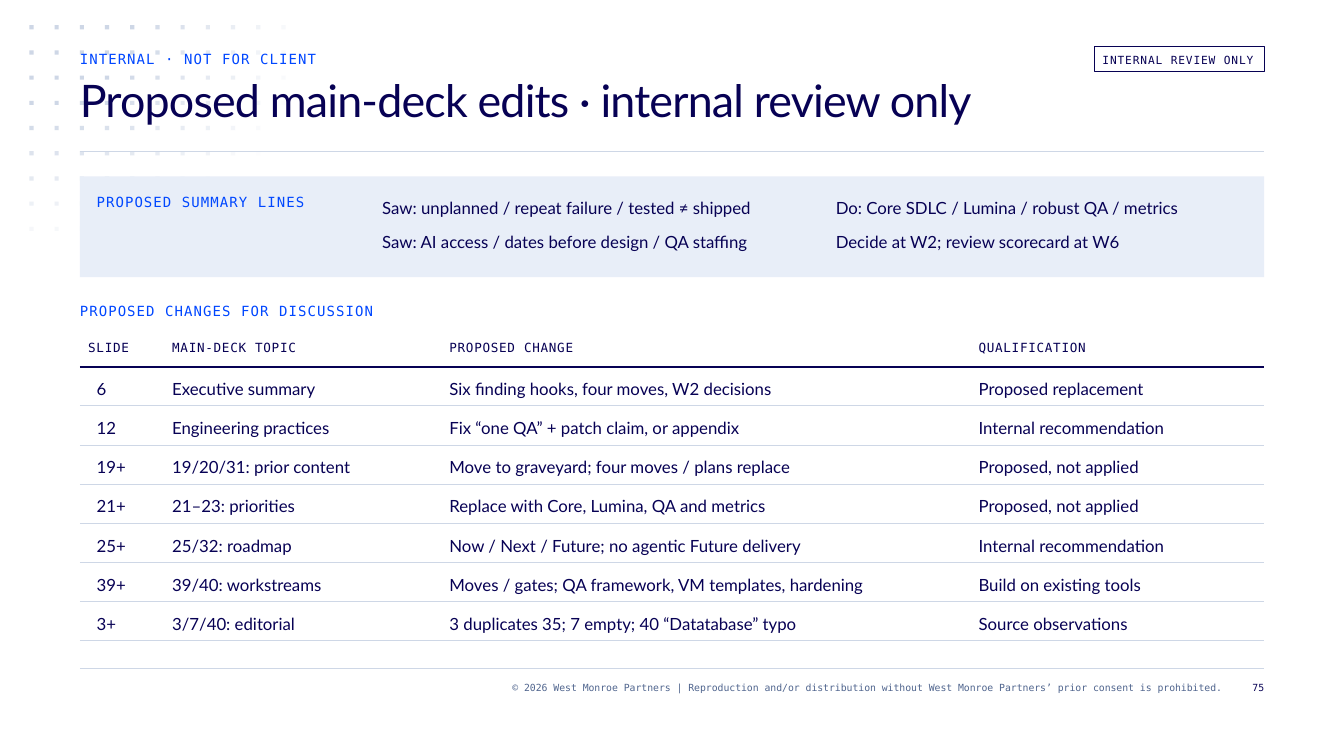
"""Builds the internal review slide of proposed main-deck edits."""
from math import hypot

from lxml import etree
from pptx import Presentation
from pptx.dml.color import RGBColor
from pptx.enum.shapes import MSO_CONNECTOR, MSO_SHAPE
from pptx.enum.text import MSO_ANCHOR, PP_ALIGN
from pptx.oxml.ns import qn
from pptx.util import Cm, Pt

RECTANGLE = MSO_SHAPE.RECTANGLE
STRAIGHT = MSO_CONNECTOR.STRAIGHT
MIDDLE = MSO_ANCHOR.MIDDLE
LEFT, RIGHT = PP_ALIGN.LEFT, PP_ALIGN.RIGHT

NAVY = RGBColor(0x07, 0x01, 0x54)
BLUE = RGBColor(0x00, 0x47, 0xFF)
SLATE = RGBColor(0x50, 0x65, 0x8E)
MIST = RGBColor(0xCE, 0xD7, 0xE6)
PALE = RGBColor(0xE8, 0xEE, 0xF8)
WHITE = RGBColor(0xFF, 0xFF, 0xFF)

# style: font, size, line spacing, letter spacing, colour
MONO, SANS = "DejaVu Sans Mono", "Lato"
TITLE = (SANS, 32, 36, -0.6, NAVY)
BODY = (SANS, 12, 18, 0, NAVY)
LABEL = (MONO, 10, 12, 0.8, BLUE)
HEADING = (MONO, 9, 12, 0.5, NAVY)
BADGE = (MONO, 8, 12, 0.6, NAVY)
COPYRIGHT = (MONO, 7, 9, 0, SLATE)
PAGE_NUMBER = (MONO, 7, 9, 0, NAVY)

MARGIN, CONTENT_WIDTH = 19, 282
RULE_TOPS = (36.1, 159.1)
DOT_START, DOT_PITCH = (7, 6), 6
DOT_ROWS = (11, 11, 11, 11, 11, 11, 11, 3, 3)
FADE_ACROSS, FADE_DOWN, FADE_STRENGTH = 11.07, 9.07, 1.53

TEXTS = [
    ((57, 162, 234, 6), COPYRIGHT, RIGHT,
     ["© 2026 West Monroe Partners | Reproduction and/or distribution without "
      "West Monroe Partners’ prior consent is prohibited."]),
    ((19, 12, 222, 4), LABEL, LEFT, ["INTERNAL · NOT FOR CLIENT"]),
    ((19, 18, 282, 18), TITLE, LEFT, ["Proposed main-deck edits · internal review only"]),
    ((293, 162, 8, 6), PAGE_NUMBER, RIGHT, ["75"]),
    ((23, 46, 58, 4), LABEL, LEFT, ["PROPOSED SUMMARY LINES"]),
    ((91, 46, 100, 14), BODY, LEFT,
     ["Saw: unplanned / repeat failure / tested ≠ shipped",
      "Saw: AI access / dates before design / QA staffing"]),
    ((199, 46, 98, 14), BODY, LEFT,
     ["Do: Core SDLC / Lumina / robust QA / metrics",
      "Decide at W2; review scorecard at W6"]),
    ((19, 72, 138, 4), LABEL, LEFT, ["PROPOSED CHANGES FOR DISCUSSION"]),
    ((262.5, 12, 36.5, 4), BADGE, LEFT, ["INTERNAL REVIEW ONLY"]),
]

COLUMN_WIDTHS = (18, 66, 126, 72)
TABLE_TOP, TABLE_HEIGHT = 78, 74.67
CHANGES = [
    ("SLIDE", "MAIN-DECK TOPIC", "PROPOSED CHANGE", "QUALIFICATION"),
    ("6", "Executive summary", "Six finding hooks, four moves, W2 decisions",
     "Proposed replacement"),
    ("12", "Engineering practices", "Fix “one QA” + patch claim, or appendix",
     "Internal recommendation"),
    ("19+", "19/20/31: prior content", "Move to graveyard; four moves / plans replace",
     "Proposed, not applied"),
    ("21+", "21–23: priorities", "Replace with Core, Lumina, QA and metrics",
     "Proposed, not applied"),
    ("25+", "25/32: roadmap", "Now / Next / Future; no agentic Future delivery",
     "Internal recommendation"),
    ("39+", "39/40: workstreams", "Moves / gates; QA framework, VM templates, hardening",
     "Build on existing tools"),
    ("3+", "3/7/40: editorial", "3 duplicates 35; 7 empty; 40 “Datatabase” typo",
     "Source observations"),
]
PLAIN_TABLE = "{2D5ABB26-0587-4C30-8999-92F81FD0307C}"


def grid(units):
    """Converts grid units, 24 to the inch, to a length."""
    return Cm(units * 2.54 / 24)


def add_rectangle(page, place, fill=None, line=None):
    box = page.shapes.add_shape(RECTANGLE, *map(grid, place))
    box.shadow.inherit = False
    if fill is None:
        box.fill.background()
    else:
        box.fill.solid()
        box.fill.fore_color.rgb = fill
    if line is None:
        box.line.fill.background()
    else:
        box.line.color.rgb = line
        box.line.width = Pt(0.75)
    return box


def write(frame, lines, style, align=LEFT):
    font, size, leading, tracking, colour = style
    frame.word_wrap = True
    frame.text = "\n".join(lines)
    for index, para in enumerate(frame.paragraphs):
        para.alignment = align
        para.line_spacing = Pt(leading)
        if index:
            para.space_before = Pt(6)
        para.font.name = font
        para.font.size = Pt(size)
        para.font.color.rgb = colour
        para._p.pPr.find(qn("a:defRPr")).set("spc", str(round(tracking * 100)))


def add_text(page, place, style, align, lines):
    frame = page.shapes.add_textbox(*map(grid, place)).text_frame
    frame.margin_left = frame.margin_right = frame.margin_top = frame.margin_bottom = 0
    write(frame, lines, style, align)


def add_dots(page):
    for row, count in enumerate(DOT_ROWS):
        for column in range(count):
            distance = hypot(column / FADE_ACROSS, row / FADE_DOWN)
            opacity = min(1, FADE_STRENGTH * (1 - distance))
            if opacity <= 0:
                continue
            left, top = DOT_START[0] + column * DOT_PITCH, DOT_START[1] + row * DOT_PITCH
            dot = add_rectangle(page, (left, top, 1, 1), MIST)
            colour = dot._element.spPr.find(".//" + qn("a:srgbClr"))
            etree.SubElement(colour, qn("a:alpha"), val=str(round(opacity * 100) * 1000))


def add_rule(page, top):
    rule = page.shapes.add_connector(
        STRAIGHT, grid(MARGIN), grid(top), grid(MARGIN + CONTENT_WIDTH), grid(top))
    rule.line.color.rgb = MIST
    rule.line.width = Pt(0.75)
    etree.SubElement(rule._element.spPr, qn("a:effectLst"))


def underline_cell(cell, colour, width):
    border = etree.Element(qn("a:lnB"), w=str(Pt(width)))
    fill = etree.SubElement(border, qn("a:solidFill"))
    etree.SubElement(fill, qn("a:srgbClr"), val=str(colour))
    cell._tc.get_or_add_tcPr().insert(0, border)


def add_changes(page):
    place = (MARGIN, TABLE_TOP, CONTENT_WIDTH, TABLE_HEIGHT)
    table = page.shapes.add_table(
        len(CHANGES), len(COLUMN_WIDTHS), *map(grid, place)).table
    table.first_row = table.horz_banding = False
    table._tbl.tblPr.find(qn("a:tableStyleId")).text = PLAIN_TABLE
    for column, width in zip(table.columns, COLUMN_WIDTHS):
        column.width = grid(width)
    for row, texts in enumerate(CHANGES):
        table.rows[row].height = grid(TABLE_HEIGHT / len(CHANGES))
        for column, text in enumerate(texts):
            cell = table.cell(row, column)
            cell.margin_left = cell.margin_right = grid(2 if row == column == 0 else 4)
            cell.margin_top = cell.margin_bottom = 0
            cell.vertical_anchor = MIDDLE
            cell.fill.solid()
            cell.fill.fore_color.rgb = WHITE
            write(cell.text_frame, [text], BODY if row else HEADING)
            underline_cell(cell, *((MIST, 0.75) if row else (NAVY, 1.5)))


def main():
    deck = Presentation()
    deck.slide_width, deck.slide_height = grid(320), grid(180)
    page = deck.slides.add_slide(deck.slide_layouts[6])
    add_dots(page)
    for top in RULE_TOPS:
        add_rule(page, top)
    add_rectangle(page, (MARGIN, 42, CONTENT_WIDTH, 24), fill=PALE)
    add_rectangle(page, (260.5, 11, 40.5, 6), line=NAVY)
    for text in TEXTS:
        add_text(page, *text)
    add_changes(page)
    deck.save("out.pptx")


if __name__ == "__main__":
    main()
